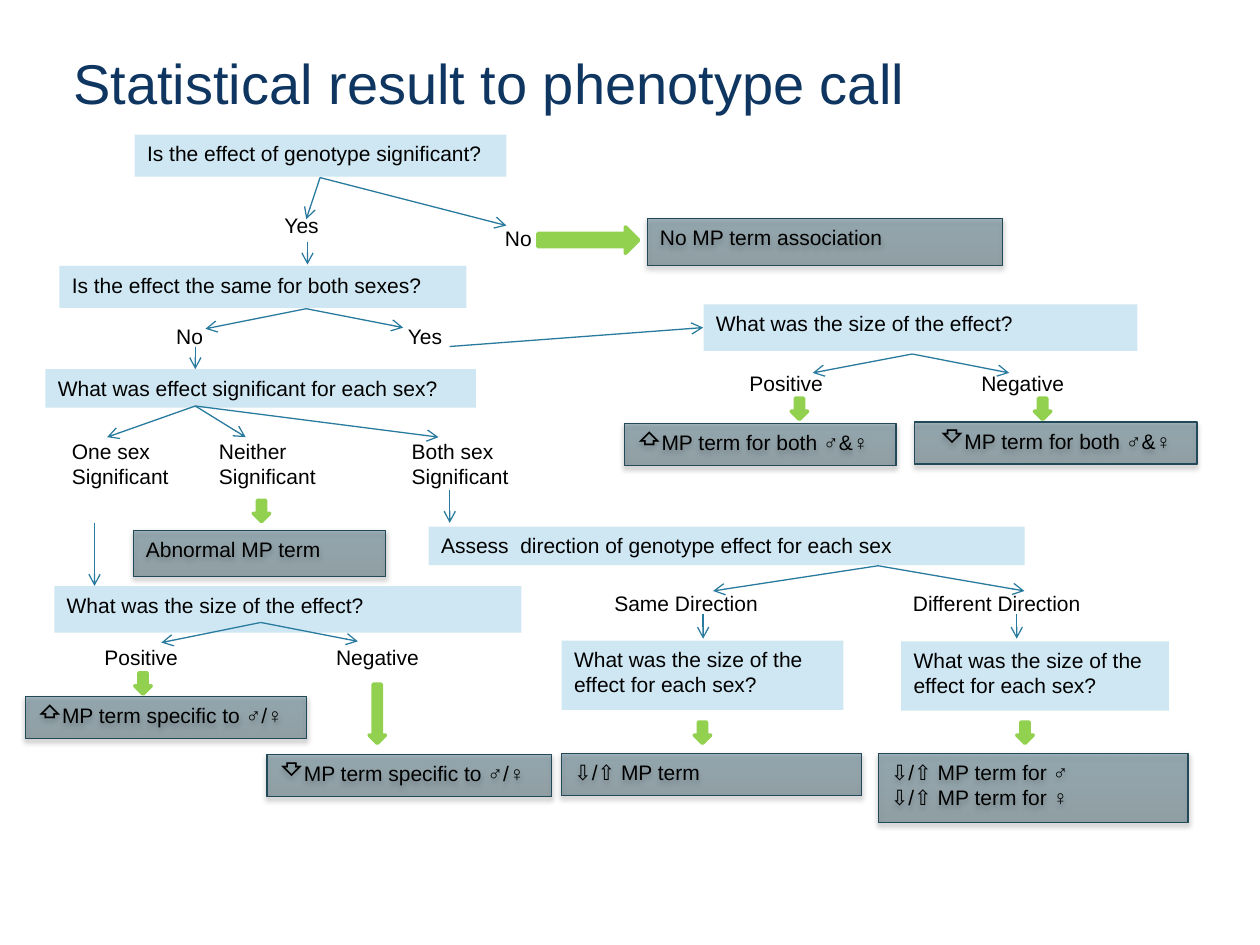
from dataclasses import dataclass

from pptx import Presentation
from pptx.dml.color import RGBColor
from pptx.enum.shapes import MSO_CONNECTOR, MSO_SHAPE
from pptx.enum.text import MSO_ANCHOR, PP_ALIGN
from pptx.oxml import parse_xml
from pptx.oxml.ns import nsdecls
from pptx.util import Pt

RECTANGLE = MSO_SHAPE.RECTANGLE
RIGHT_ARROW = MSO_SHAPE.RIGHT_ARROW
STRAIGHT = MSO_CONNECTOR.STRAIGHT
TOP = MSO_ANCHOR.TOP
LEFT = PP_ALIGN.LEFT
CENTER = PP_ALIGN.CENTER

NAVY = RGBColor(0x0F, 0x36, 0x61)
BLACK = RGBColor(0x00, 0x00, 0x00)
PALE_BLUE = RGBColor(0xCF, 0xE7, 0xF2)
DARK_TEAL = RGBColor(0x22, 0x49, 0x57)
TEAL = RGBColor(0x28, 0x7A, 0x9E)
GREEN = RGBColor(0x92, 0xD0, 0x50)
GLASS_STOPS = ((0, "153A47"), (80, "1B4B5D"), (100, "1A4C5F"))
FONT = "Arial"
TEXT_SIZE = 12
BULLET_INDENT = 13.5


@dataclass
class Note:
    text: str
    left: float
    top: float
    width: float
    height: float = 26.6
    bullet: str = ""
    align: PP_ALIGN = LEFT


@dataclass
class Fork:
    start: tuple[float, float]
    ends: list[tuple[float, float]]


@dataclass
class BlockArrow:
    center_x: float
    center_y: float
    length: float = 12.2
    thickness: float = 9.4
    rotation: float = 90


SIZE = "What was the size of the effect?"
SIZE_EACH = "What was the size of the effect for each sex?"
BOTH = "MP term for both ♂&♀"
SPECIFIC = "MP term specific to ♂/♀"

QUESTIONS = [
    Note("Is the effect of genotype significant?", 77, 77, 212.4, 24),
    Note("Is the effect the same for both sexes?", 34, 152, 232.6, 24),
    Note(SIZE, 402, 174, 248),
    Note("What was effect significant for each sex?", 26, 211, 246, 22),
    Note(SIZE, 31, 335, 267),
    Note("Assess  direction of genotype effect for each sex", 245, 301, 340.6, 22),
    Note(SIZE_EACH, 321, 366, 161, 39.6),
    Note(SIZE_EACH, 515, 366.5, 153, 39.6),
]
RESULTS = [
    Note("No MP term association", 370, 125, 203),
    Note(BOTH, 522.7, 241.2, 161.3, 24, "⇩", CENTER),
    Note(BOTH, 357, 242, 155, 24, "⇧"),
    Note("Abnormal MP term", 76.3, 303, 144),
    Note(SPECIFIC, 152.6, 431.3, 162.7, 24, "⇩"),
    Note(SPECIFIC, 14.4, 398, 160.6, 24, "⇧"),
    Note("⇩/⇧ MP term", 321, 430.6, 171.4, 24),
    Note("⇩/⇧ MP term for ♂\n⇩/⇧ MP term for ♀", 502, 430.6, 177, 39.6),
]
LABELS = [
    Note("No", 281.5, 125.3, 108),
    Note("Yes", 155.5, 118, 108),
    Note("Yes", 226, 181.5, 108),
    Note("No", 93.6, 181.5, 108),
    Note("Positive", 421.2, 208, 108),
    Note("Negative", 553.7, 208, 108),
    Note("One sex\nSignificant", 34, 247, 87, 36.7),
    Note("Neither Significant", 118, 247, 93, 44.6),
    Note("Both sex Significant", 228.2, 247, 88, 44.6),
    Note("Positive", 52.6, 365, 108),
    Note("Negative", 185, 365, 108),
    Note("Same Direction", 344, 334, 138),
    Note("Different Direction", 514.6, 334, 191),
]
FORKS = [
    Fork((182.9, 101.5), [(175, 125.3), (289.4, 128.9)]),
    Fork((175.7, 138.2), [(175.7, 151.2)]),
    Fork((175, 176.4), [(117.4, 187.9), (230.4, 187.2)]),
    Fork((257, 198), [(401.8, 187.2)]),
    Fork((521.3, 202.3), [(464.4, 213.1), (576.7, 213.1)]),
    Fork((111.6, 198), [(111.6, 211)]),
    Fork((111.6, 232), [(61.2, 249.8), (140.4, 249.8), (250.6, 249.8)]),
    Fork((54, 298.8), [(54, 334.8)]),
    Fork((149, 355.7), [(92.2, 367.2), (204.5, 366.5)]),
    Fork((257, 280), [(257, 298.8)]),
    Fork((501.8, 323.3), [(407.5, 337.7), (585.4, 337.7)]),
    Fork((401.8, 350.6), [(401.8, 365)]),
    Fork((581, 350.6), [(581, 365)]),
]
BLOCK_ARROWS = [
    BlockArrow(336.2, 137.2, 57.6, 15.1, 0),
    BlockArrow(456.8, 233.6),
    BlockArrow(595.8, 233.6),
    BlockArrow(149.4, 292),
    BlockArrow(81.7, 390.6),
    BlockArrow(215.6, 407.9, 33.8),
    BlockArrow(401.4, 418.7),
    BlockArrow(585.7, 418.7),
]


def write(box, note: Note, size: float = TEXT_SIZE, color: RGBColor = BLACK) -> None:
    frame = box.text_frame
    frame.word_wrap = True
    frame.vertical_anchor = TOP
    frame.text = note.text
    for para in frame.paragraphs:
        para.alignment = note.align
        if note.bullet:
            properties = para._p.get_or_add_pPr()
            properties.set("marL", str(Pt(BULLET_INDENT)))
            properties.set("indent", str(-Pt(BULLET_INDENT)))
            properties.append(parse_xml(f'<a:buChar {nsdecls("a")} char="{note.bullet}"/>'))
        for span in para.runs:
            span.font.name = FONT
            span.font.size = Pt(size)
            span.font.color.rgb = color


def add_label(slide, note: Note):
    return slide.shapes.add_textbox(Pt(note.left), Pt(note.top), Pt(note.width), Pt(note.height))


def add_box(slide, note: Note):
    box = slide.shapes.add_shape(
        RECTANGLE, Pt(note.left), Pt(note.top), Pt(note.width), Pt(note.height))
    box.shadow.inherit = False
    write(box, note)
    return box


def add_question(slide, note: Note) -> None:
    box = add_box(slide, note)
    box.fill.solid()
    box.fill.fore_color.rgb = PALE_BLUE
    box.line.fill.background()


def add_result(slide, note: Note) -> None:
    box = add_box(slide, note)
    box.line.color.rgb = DARK_TEAL
    box.line.width = Pt(0.75)
    stops = "".join(
        f'<a:gs pos="{percent * 1000}"><a:srgbClr val="{color}"><a:alpha val="38000"/></a:srgbClr></a:gs>'
        for percent, color in GLASS_STOPS)
    box._element.spPr.insert(2, parse_xml(
        f'<a:gradFill {nsdecls("a")} rotWithShape="1"><a:gsLst>{stops}</a:gsLst>'
        '<a:lin ang="16200000" scaled="0"/></a:gradFill>'))
    box._element.spPr[-1].append(parse_xml(
        f'<a:outerShdw {nsdecls("a")} blurRad="{Pt(3.1)}" dist="{Pt(1.8)}" dir="5400000" '
        'rotWithShape="0"><a:srgbClr val="000000"><a:alpha val="35000"/></a:srgbClr></a:outerShdw>'))


def add_fork(slide, fork: Fork) -> None:
    for end in fork.ends:
        points = [Pt(value) for value in (*fork.start, *end)]
        connector = slide.shapes.add_connector(STRAIGHT, *points)
        connector.line.color.rgb = TEAL
        connector.line.width = Pt(0.75)
        connector.line._get_or_add_ln().append(
            parse_xml(f'<a:tailEnd {nsdecls("a")} type="arrow"/>'))
        connector._element.spPr.append(parse_xml(f'<a:effectLst {nsdecls("a")}/>'))


def add_block_arrow(slide, arrow: BlockArrow) -> None:
    shape = slide.shapes.add_shape(
        RIGHT_ARROW, Pt(arrow.center_x - arrow.length / 2),
        Pt(arrow.center_y - arrow.thickness / 2), Pt(arrow.length), Pt(arrow.thickness))
    shape.rotation = arrow.rotation
    shape.shadow.inherit = False
    shape.fill.solid()
    shape.fill.fore_color.rgb = GREEN
    shape.line.color.rgb = GREEN
    shape.line.width = Pt(2)


def main() -> None:
    """Build the decision tree from statistical result to phenotype call."""
    deck = Presentation()
    deck.slide_width, deck.slide_height = Pt(720), Pt(540)
    slide = deck.slides.add_slide(deck.slide_layouts[6])
    title = Note("Statistical result to phenotype call", 42, 24, 642, 60)
    title_box = add_label(slide, title)
    title_box.text_frame.margin_left = title_box.text_frame.margin_right = 0
    write(title_box, title, 32, NAVY)
    for question in QUESTIONS:
        add_question(slide, question)
    for result in RESULTS:
        add_result(slide, result)
    for label in LABELS:
        write(add_label(slide, label), label)
    for fork in FORKS:
        add_fork(slide, fork)
    for arrow in BLOCK_ARROWS:
        add_block_arrow(slide, arrow)
    deck.save("out.pptx")


if __name__ == "__main__":
    main()
